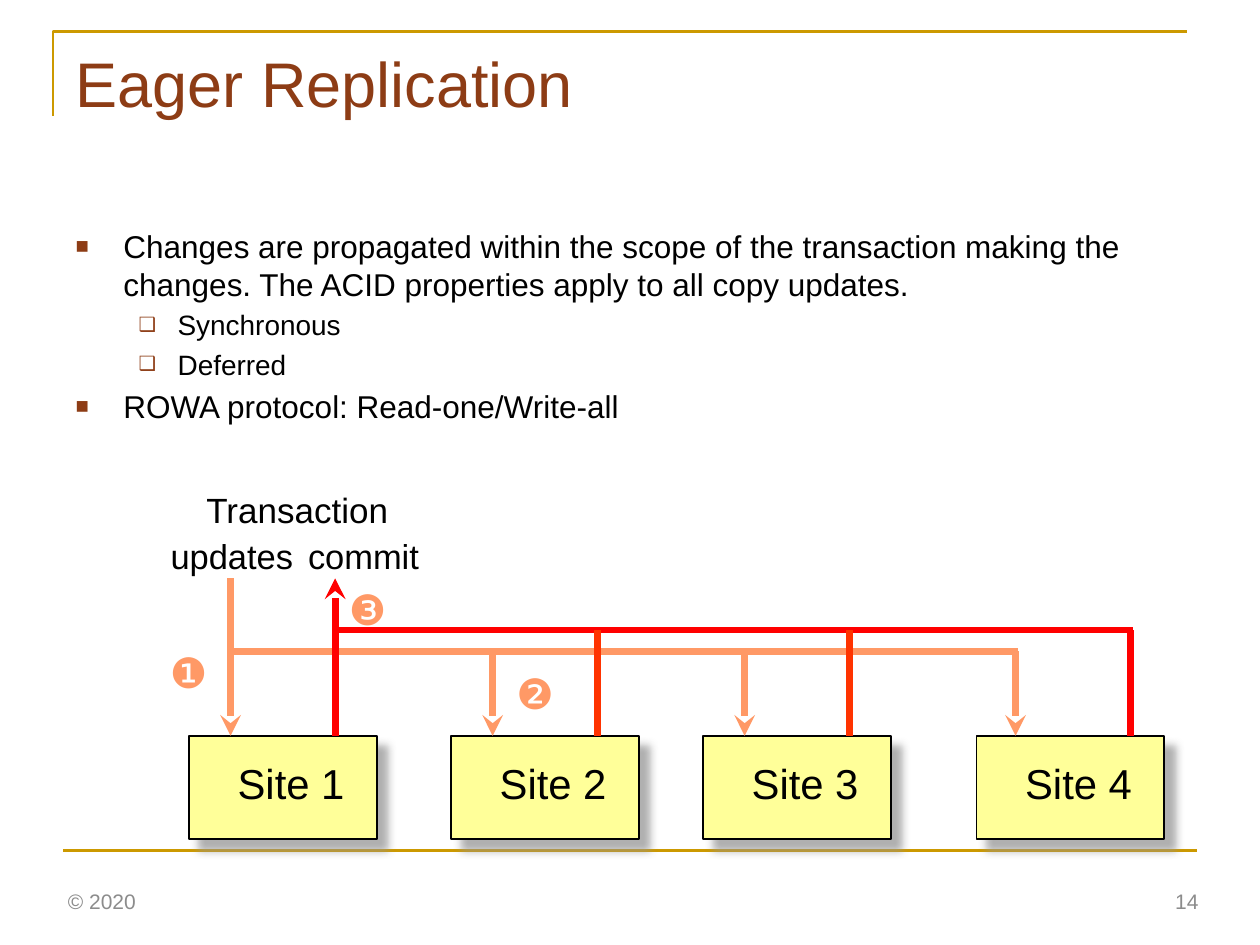
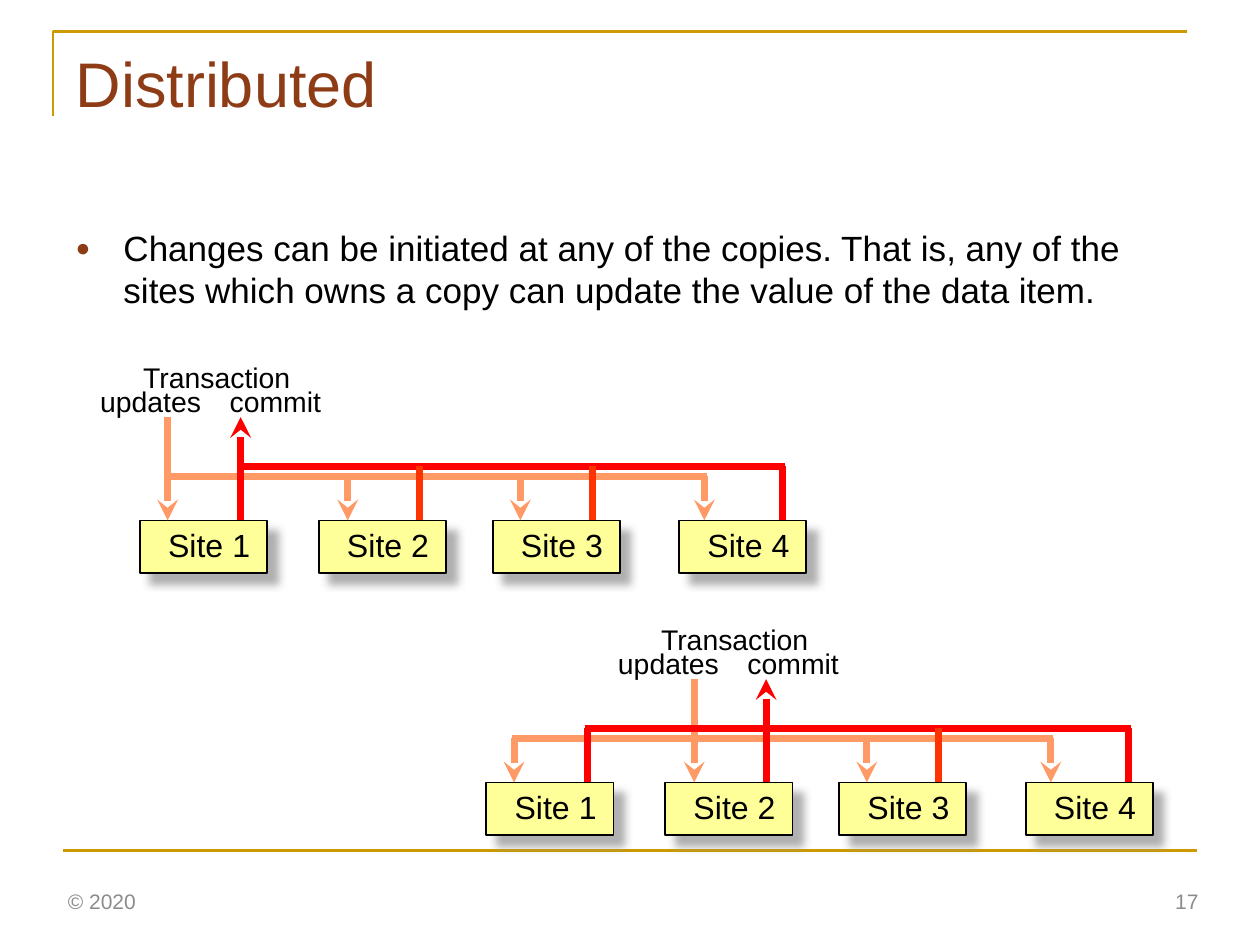
from dataclasses import dataclass, replace

from lxml.etree import SubElement
from pptx import Presentation
from pptx.dml.color import RGBColor
from pptx.enum.shapes import MSO_CONNECTOR, MSO_SHAPE
from pptx.enum.text import MSO_ANCHOR, MSO_AUTO_SIZE, PP_ALIGN
from pptx.oxml.ns import qn
from pptx.util import Inches, Pt


@dataclass(frozen=True)
class Theme:
    font: str = "Arial"
    title: str = "8D3C15"
    text: str = "000000"
    muted: str = "8C8C8C"
    frame: str = "CC9900"
    box: str = "FFFF99"
    shadow: str = "969696"
    update: str = "FF9966"
    commit: str = "FF0000"
    commit_branch: str = "FF3300"
    title_size: float = 36
    footer_size: float = 12
    frame_width: float = 1.5
    flow_width: float = 4


@dataclass(frozen=True)
class Diagram:
    """Sites in a row; one of them, the origin, receives the transaction."""
    lefts: tuple
    updates: tuple       # x of each update line
    commits: tuple       # x of each commit line
    flow_top: float
    commit_bar: float
    update_bar: float
    box_top: float
    box_size: tuple
    site_size: float
    site_inset: tuple    # left and bottom insets of a box
    labels: tuple        # text, offset from the top of the origin's update line, size, points
    steps: tuple = ()
    origin: int = 0
    label_shift: float = 0


THEME = Theme()
WIDTH, HEIGHT = 10, 7.5
MARGIN = 0.05 * WIDTH
CONTENT_WIDTH = WIDTH - 2 * MARGIN
FRAME_CORNER = [(0.42, 0.92), (0.42, 0.25), (9.42, 0.25)]
FOOTER_RULE = 0.9 * HEIGHT
FOOTER_TOP = 6.95
BAR_OVERHANG = 0.02

EAGER = Diagram(
    lefts=(1.5, 3.58, 5.58, 7.75),
    updates=(1.83, 3.91, 5.91, 8.06),
    commits=(2.66, 4.74, 6.74, 8.97),
    flow_top=4.59, commit_bar=5, update_bar=5.17, box_top=5.84,
    box_size=(1.49, 0.82), site_size=23.9, site_inset=(0.13, 0.07),
    labels=(
        ("Transaction", (-0.3, -0.76), (1.66, 0.44), 20),
        ("updates", (-0.58, -0.39), (1.18, 0.43), 19.7),
        ("commit", (0.49, -0.39), (1.13, 0.43), 19.7),
    ),
    steps=(("❶", 1.25, 5.08), ("❷", 4, 5.25), ("❸", 2.67, 4.58)),
)
FIRST_COPY = Diagram(
    lefts=(1.11, 2.53, 3.91, 5.39),
    updates=(1.33, 2.76, 4.13, 5.59),
    commits=(1.91, 3.33, 4.7, 6.21),
    flow_top=3.31, commit_bar=3.7, update_bar=3.78, box_top=4.13,
    box_size=(1.01, 0.42), site_size=18.3, site_inset=(0.09, 0.03),
    labels=(
        ("Transaction", (-0.3, -0.5), (1.38, 0.37), 16.2),
        ("updates", (-0.64, -0.31), (1.01, 0.37), 16.2),
        ("commit", (0.37, -0.31), (0.97, 0.37), 16.2),
    ),
)


def shifted(diagram, right, down, **changes):
    columns = {name: tuple(x + right for x in getattr(diagram, name))
               for name in ("lefts", "updates", "commits")}
    rows = {name: getattr(diagram, name) + down
            for name in ("flow_top", "commit_bar", "update_bar", "box_top")}
    return replace(diagram, **columns, **rows, **changes)


SECOND_COPY = shifted(FIRST_COPY, 2.75, 2.08, origin=1, label_shift=-0.07)

# Each body item: text, level, bullet, points
SLIDES = [
    {
        "title": "Eager Replication",
        "number": "14",
        "body_height": 1.99,
        "body": [
            ("Changes are propagated within the scope of the transaction making the "
             "changes. The ACID properties apply to all copy updates.", 0, "■", 18),
            ("Synchronous", 1, "❑", 16),
            ("Deferred", 1, "❑", 16),
            ("ROWA protocol: Read-one/Write-all", 0, "■", 18),
        ],
        "diagrams": [EAGER],
    },
    {
        "title": "Distributed",
        "number": "17",
        "body_height": 0.87,
        "body": [
            ("Changes can be initiated at any of the copies. That is, any of the "
             "sites which owns a copy can update the value of the data item.", 0, "●", 20),
        ],
        "diagrams": [FIRST_COPY, SECOND_COPY],
    },
]
INDENTS = [(0.38, -0.38), (0.81, -0.31)]


def color(code):
    return RGBColor.from_string(code)


def add_xml(parent, tag, **attributes):
    return SubElement(parent, qn(tag), {key: str(value) for key, value in attributes.items()})


def place(shape, left, top, width, height):
    shape.left, shape.top = Inches(left), Inches(top)
    shape.width, shape.height = Inches(width), Inches(height)


def write(paragraph, text, size, fill=THEME.text, align=PP_ALIGN.LEFT):
    paragraph.alignment = align
    run = paragraph.add_run()
    run.text = text
    run.font.name = THEME.font
    run.font.size = Pt(size)
    run.font.color.rgb = color(fill)


def add_text(slide, text, box, size, wrap=False, anchor=MSO_ANCHOR.TOP, **text_format):
    shape = slide.shapes.add_textbox(*map(Inches, box))
    frame = shape.text_frame
    frame.word_wrap = wrap
    frame.vertical_anchor = anchor
    write(frame.paragraphs[0], text, size, **text_format)


def add_line(slide, start, end, fill, width=THEME.flow_width, arrow=False):
    line = slide.shapes.add_connector(MSO_CONNECTOR.STRAIGHT, *map(Inches, start + end))
    line.line.color.rgb = color(fill)
    line.line.width = Pt(width)
    properties = line.element.spPr
    if arrow:
        add_xml(properties.find(qn("a:ln")), "a:tailEnd", type="stealth")
    add_xml(properties, "a:effectLst")
    return line


def add_bullet(paragraph, level, character):
    paragraph.level = level
    left, hanging = INDENTS[level]
    properties = paragraph._p.get_or_add_pPr()
    properties.set("marL", str(Inches(left)))
    properties.set("indent", str(Inches(hanging)))
    add_xml(add_xml(properties, "a:buClr"), "a:srgbClr", val=THEME.title)
    add_xml(properties, "a:buSzPct", val=70000)
    add_xml(properties, "a:buFont", typeface=THEME.font)
    add_xml(properties, "a:buChar", char=character)


def add_site(slide, diagram, index):
    box = (diagram.lefts[index], diagram.box_top, *diagram.box_size)
    shape = slide.shapes.add_shape(MSO_SHAPE.RECTANGLE, *map(Inches, box))
    shape.fill.solid()
    shape.fill.fore_color.rgb = color(THEME.box)
    shape.line.color.rgb = color(THEME.text)
    shape.line.width = Pt(1)
    effects = add_xml(shape.element.spPr, "a:effectLst")
    shadow = add_xml(effects, "a:outerShdw", blurRad=Pt(5), dist=Pt(8.5),
                     dir=45 * 60000, algn="ctr", rotWithShape=0)
    add_xml(add_xml(shadow, "a:srgbClr", val=THEME.shadow), "a:alpha", val=75000)
    frame = shape.text_frame
    frame.word_wrap = False
    frame.vertical_anchor = MSO_ANCHOR.MIDDLE
    frame.margin_right = frame.margin_top = 0
    frame.margin_left, frame.margin_bottom = map(Inches, diagram.site_inset)
    write(frame.paragraphs[0], f"Site {index + 1}", diagram.site_size, align=PP_ALIGN.CENTER)


def add_bar(slide, columns, y, fill):
    add_line(slide, (columns[0] - BAR_OVERHANG, y), (columns[-1] + BAR_OVERHANG, y), fill)


def add_diagram(slide, diagram):
    last = len(diagram.lefts) - 1
    for index in range(last + 1):
        add_site(slide, diagram, index)

    add_bar(slide, diagram.updates, diagram.update_bar, THEME.update)
    for index, x in enumerate(diagram.updates):
        top = diagram.flow_top if index == diagram.origin else diagram.update_bar
        add_line(slide, (x, top), (x, diagram.box_top), THEME.update, arrow=True)

    add_bar(slide, diagram.commits, diagram.commit_bar, THEME.commit)
    for index, x in enumerate(diagram.commits):
        at_origin = index == diagram.origin
        top = diagram.flow_top if at_origin else diagram.commit_bar
        fill = THEME.commit if at_origin or index in (0, last) else THEME.commit_branch
        add_line(slide, (x, diagram.box_top), (x, top), fill, arrow=at_origin)

    label_left = diagram.updates[diagram.origin] + diagram.label_shift
    for text, (right, down), extent, size in diagram.labels:
        box = (label_left + right, diagram.flow_top + down, *extent)
        add_text(slide, text, box, size, align=PP_ALIGN.CENTER)
    for symbol, left, top in diagram.steps:
        add_text(slide, symbol, (left, top, 0.5, 0.5), diagram.site_size, fill=THEME.update)


def add_slide(presentation, layout, content):
    slide = presentation.slides.add_slide(layout)
    title, body = slide.placeholders
    title.text_frame.vertical_anchor = MSO_ANCHOR.TOP
    write(title.text_frame.paragraphs[0], content["title"], THEME.title_size, fill=THEME.title)

    place(body, MARGIN, 1.75, CONTENT_WIDTH, content["body_height"])
    frame = body.text_frame
    frame.auto_size = MSO_AUTO_SIZE.NONE
    for index, (text, level, bullet, size) in enumerate(content["body"]):
        paragraph = frame.add_paragraph() if index else frame.paragraphs[0]
        write(paragraph, text, size)
        add_bullet(paragraph, level, bullet)

    for diagram in content["diagrams"]:
        add_diagram(slide, diagram)
    footer = {"wrap": True, "anchor": MSO_ANCHOR.MIDDLE, "fill": THEME.muted}
    add_text(slide, "© 2020", (0.44, FOOTER_TOP, 3.38, 0.4), THEME.footer_size, **footer)
    add_text(slide, content["number"], (7.36, FOOTER_TOP, 2.25, 0.4), THEME.footer_size,
             align=PP_ALIGN.RIGHT, **footer)
    return slide


def add_frame(slide, layout):
    """Draw the corner and footer rule, then move them to the shared layout."""
    start, *points = [(Inches(x), Inches(y)) for x, y in FRAME_CORNER]
    builder = slide.shapes.build_freeform(*start)
    builder.add_line_segments(points, close=False)
    corner = builder.convert_to_shape()
    corner.shadow.inherit = False
    corner.fill.background()
    corner.line.color.rgb = color(THEME.frame)
    corner.line.width = Pt(THEME.frame_width)
    rule = add_line(slide, (MARGIN, FOOTER_RULE), (WIDTH - MARGIN, FOOTER_RULE),
                    THEME.frame, width=THEME.frame_width)
    for shape in (corner, rule):
        layout.shapes.element.append(shape.element)


def main():
    presentation = Presentation()
    presentation.slide_width, presentation.slide_height = Inches(WIDTH), Inches(HEIGHT)
    layout = presentation.slide_layouts[1]
    place(layout.placeholders[0], MARGIN, 0.3, CONTENT_WIDTH, 1.25)
    for content in SLIDES:
        slide = add_slide(presentation, layout, content)
    add_frame(slide, layout)
    presentation.save("out.pptx")


if __name__ == "__main__":
    main()
